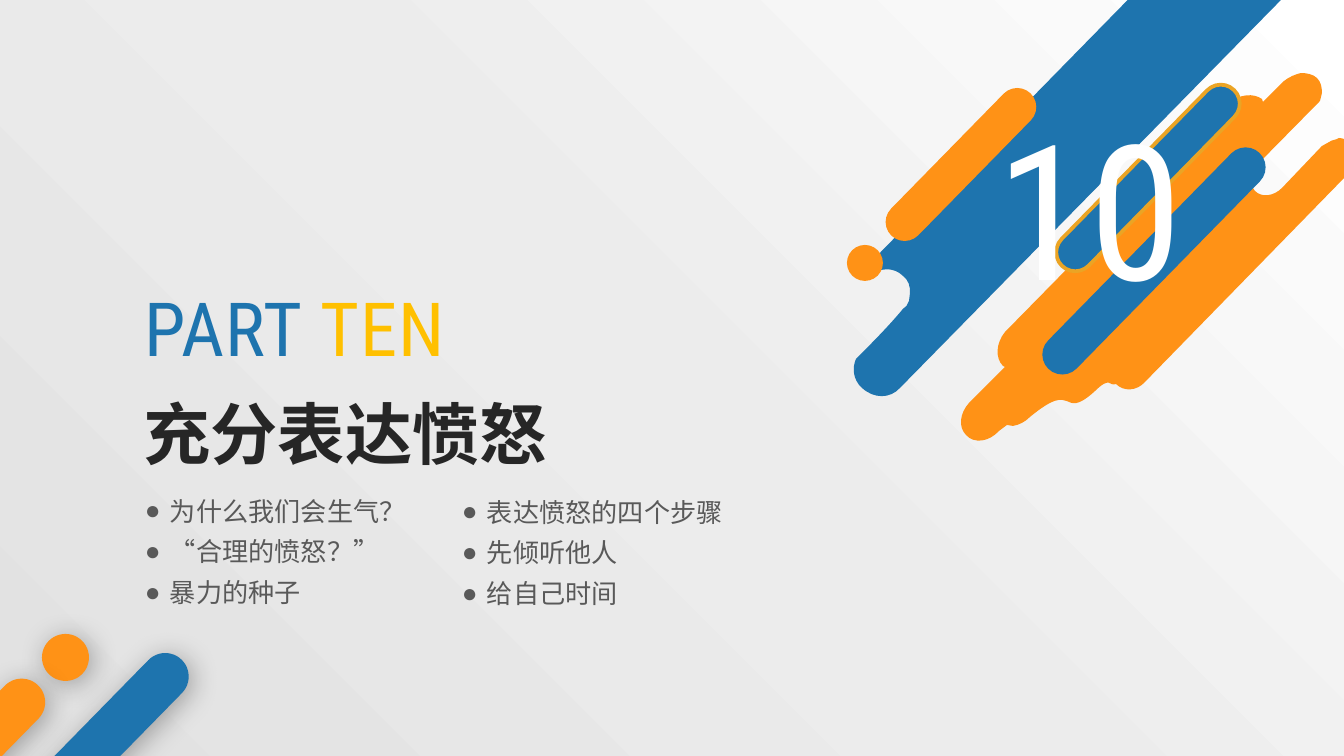
from copy import deepcopy

from lxml.etree import SubElement
from pptx import Presentation
from pptx.dml.color import RGBColor
from pptx.enum.shapes import MSO_SHAPE as SHAPE
from pptx.enum.text import MSO_ANCHOR as ANCHOR, MSO_AUTO_SIZE as AUTO, PP_ALIGN as ALIGN
from pptx.oxml.ns import qn
from pptx.util import Pt

PX = 914400 / 134.4
TILT = 44.4
CJK, LATIN = "Noto Sans CJK SC", "Roboto Condensed"
COLORS = {
    "blue": "1E74AE", "orange": "FF9216", "gold": "EBA424", "yellow": "FFC000",
    "ink": "262626", "gray": "595959", "white": "FFFFFF", "black": "000000",
}
BACKGROUND = [(0, "E2E2E2"), (0.5, "ECECEC"), (1, "FFFFFF")]
TOPICS = [
    ["为什么我们会生气？", "“合理的愤怒？”", "暴力的种子"],
    ["表达愤怒的四个步骤", "先倾听他人", "给自己时间"],
]
ORANGE_SPLASH = [
    (501, 73), (496, 74, 489, 77, 484, 81), (463, 102), (462, 99),
    (454, 93, 439, 94, 430, 103), (205, 332), (196, 343, 195, 358, 203, 366),
    (205, 367), (169, 403), (160, 413, 158, 427, 166, 435),
    (174, 444, 189, 442, 199, 431), (207, 425), (213, 426),
    (219, 425, 225, 422, 230, 417), (277, 378, 260, 422, 294, 392),
    (311, 375, 309, 387, 316, 384), (324, 392, 337, 391, 345, 382), (549, 173),
    (559, 164, 560, 151, 552, 144), (548, 140, 543, 138, 539, 138),
    (536, 140, 532, 140, 531, 141), (522, 146), (482, 188),
    (474, 196, 462, 198, 455, 191), (449, 184, 450, 172, 458, 164),
    (520, 101), (522, 93), (522, 87, 521, 82, 517, 78), (513, 74, 506, 73, 501, 73),
]
BLUE_SPLASH = [
    (514, -102), (508, -102, 501, -99, 496, -93), (426, -26),
    (411, -16, 411, -30, 402, -36), (391, -44, 373, -47, 363, -36), (75, 258),
    (70, 263, 67, 271, 67, 278), (67, 280), (68, 278, 68, 277, 70, 277),
    (79, 267, 94, 267, 103, 276), (109, 281, 110, 286, 110, 293), (109, 301),
    (107, 305, 106, 308, 103, 309), (88, 327, 72, 343, 56, 359),
    (52, 368, 53, 380, 62, 388), (74, 399, 90, 399, 100, 388), (535, -55),
    (545, -66, 545, -83, 535, -94), (529, -99, 521, -102, 514, -102),
]


def px(*values):
    """Turn pixel lengths into EMU."""
    return [round(v * PX) for v in values]


def rgb(name):
    """Look up a named colour."""
    return RGBColor.from_string(COLORS[name])


def paint(sp, color):
    """Give a shape a flat fill without line or shadow."""
    sp.shadow.inherit = False
    sp.fill.solid()
    sp.fill.fore_color.rgb = rgb(color)
    sp.line.fill.background()
    return sp


def add_bar(shapes, x, y, w, h, color):
    """Add a tilted bar with round ends."""
    sp = paint(shapes.add_shape(SHAPE.ROUNDED_RECTANGLE, *px(x, y, w, h)), color)
    sp.adjustments[0] = 0.5
    sp.rotation = TILT
    return sp


def add_dot(shapes, x, y, d, color):
    """Add a plain circle."""
    return paint(shapes.add_shape(SHAPE.OVAL, *px(x, y, d, d)), color)


def add_shadow(sp):
    """Add a soft outer shadow."""
    lst = sp._element.spPr.find(qn("a:effectLst"))
    shadow = SubElement(lst, qn("a:outerShdw"), blurRad=str(Pt(15)), dist=str(Pt(3)),
                        dir="2700000", algn="tl", rotWithShape="0")
    clr = SubElement(shadow, qn("a:srgbClr"), val=COLORS["black"])
    SubElement(clr, qn("a:alpha"), val="30000")


def add_splash(shapes, x, y, outline, color):
    """Add a freeform, turning each six-number segment into a cubic curve."""
    pts = [px(x + seg[i], y + seg[i + 1]) for seg in outline for i in range(0, len(seg), 2)]
    fb = shapes.build_freeform(*pts[0], scale=1.0)
    fb.add_line_segments(pts[1:], close=True)
    sp = paint(fb.convert_to_shape(), color)
    lines = iter(sp._element.findall(".//" + qn("a:lnTo")))
    for seg in outline[1:]:
        first = next(lines)
        if len(seg) == 6:
            first.tag = qn("a:cubicBezTo")
            for _ in range(2):
                ln = next(lines)
                first.append(ln[0])
                ln.getparent().remove(ln)


def style(r, font, size, color, bold=False):
    """Format one run."""
    f = r.font
    f.name, f.size, f.bold = font, Pt(size), bold
    f.color.rgb = rgb(color)
    SubElement(r._r.get_or_add_rPr(), qn("a:ea"), typeface=font)


def place(sp, box):
    """Move a shape to a box in pixels."""
    sp.left, sp.top, sp.width, sp.height = px(*box)


def add_label(s, box, parts, size, align=ALIGN.LEFT):
    """Add a one-line text box of coloured parts."""
    tf = s.shapes.add_textbox(*px(*box)).text_frame
    tf.word_wrap = True
    tf.vertical_anchor = ANCHOR.MIDDLE
    p = tf.paragraphs[0]
    p.alignment = align
    for text, color in parts:
        r = p.add_run()
        r.text = text
        style(r, LATIN, size, color)
    return p


def fill_background(s):
    """Fill the slide with a diagonal three-stop gradient."""
    fill = s.background.fill
    fill.gradient()
    fill.gradient_angle = 45
    lst = s.element.find(".//" + qn("a:gsLst"))
    lst.append(deepcopy(lst[0]))
    for stop, (pos, color) in zip(fill.gradient_stops, BACKGROUND):
        stop.position = pos
        stop.color.rgb = RGBColor.from_string(color)


def add_corner(s, x, y):
    """Draw the shadowed shapes of the lower left corner."""
    for sp in (add_bar(s.shapes, x + 36, y - 20, 47, 349, "blue"),
               add_dot(s.shapes, x + 42, y + 4, 47, "orange"),
               add_bar(s.shapes, x - 55, y + 27, 47, 199, "orange")):
        add_shadow(sp)


def add_emblem(s, x, y):
    """Draw the tilted shapes and the part number."""
    shapes = s.shapes.add_group_shape().shapes
    add_splash(shapes, x, y, ORANGE_SPLASH, "orange")
    add_splash(shapes, x, y, BLUE_SPLASH, "blue")
    add_bar(shapes, x + 142, y + 65, 38, 199, "orange")
    add_dot(shapes, x + 47, y + 245, 36, "orange")
    sp = add_bar(shapes, x + 329, y + 55, 38, 246, "blue")
    sp.line.color.rgb = rgb("gold")
    sp.line.width = Pt(2)
    add_bar(shapes, x + 334, y + 110, 40, 302, "blue")
    add_label(s, (x + 108, y + 84, 363, 242), [("10", "white")], 101, ALIGN.CENTER)


def add_heading(s, x, y, w):
    """Set the part line and the title."""
    p = add_label(s, (x, y, w, 103), [("PART ", "blue"), ("TEN", "yellow")], 40)
    for r in p.runs:
        r._r.rPr.set("spc", "65")
    title = s.shapes.title
    place(title, (x - 1, y + 110, w, 95))
    tf = title.text_frame
    tf.text = "充分表达愤怒"
    tf.auto_size = AUTO.NONE
    tf.vertical_anchor = ANCHOR.MIDDLE
    p = tf.paragraphs[0]
    p.alignment = ALIGN.LEFT
    style(p.runs[0], CJK, 36, "ink", bold=True)


def add_topics(body, box, topics):
    """Fill a body placeholder with a bullet list."""
    place(body, box)
    tf = body.text_frame
    tf.text = "\n".join(topics)
    tf.auto_size = AUTO.NONE
    tf.vertical_anchor = ANCHOR.TOP
    tf.margin_left = tf.margin_top = tf.margin_right = tf.margin_bottom = 0
    for i, p in enumerate(tf.paragraphs):
        p.space_before = Pt(5 if i else 0)
        pPr = p._p.get_or_add_pPr()
        indent = px(25)[0]
        pPr.set("marL", str(indent))
        pPr.set("indent", str(-indent))
        SubElement(pPr, qn("a:buChar"), char="●")
        style(p.runs[0], CJK, 14, "gray")


def main():
    """Build and save the slide."""
    prs = Presentation()
    prs.slide_width, prs.slide_height = px(1344, 756)
    s = prs.slides.add_slide(prs.slide_layouts[3])
    fill_background(s)
    add_corner(s, 0, 630)
    add_heading(s, 131, 275, 625)
    for i, topics in enumerate(TOPICS):
        add_topics(s.placeholders[i + 1], (145 + 317 * i, 495 + i, 300, 120), topics)
    add_emblem(s, 800, 0)
    prs.save("out.pptx")


if __name__ == "__main__":
    main()
